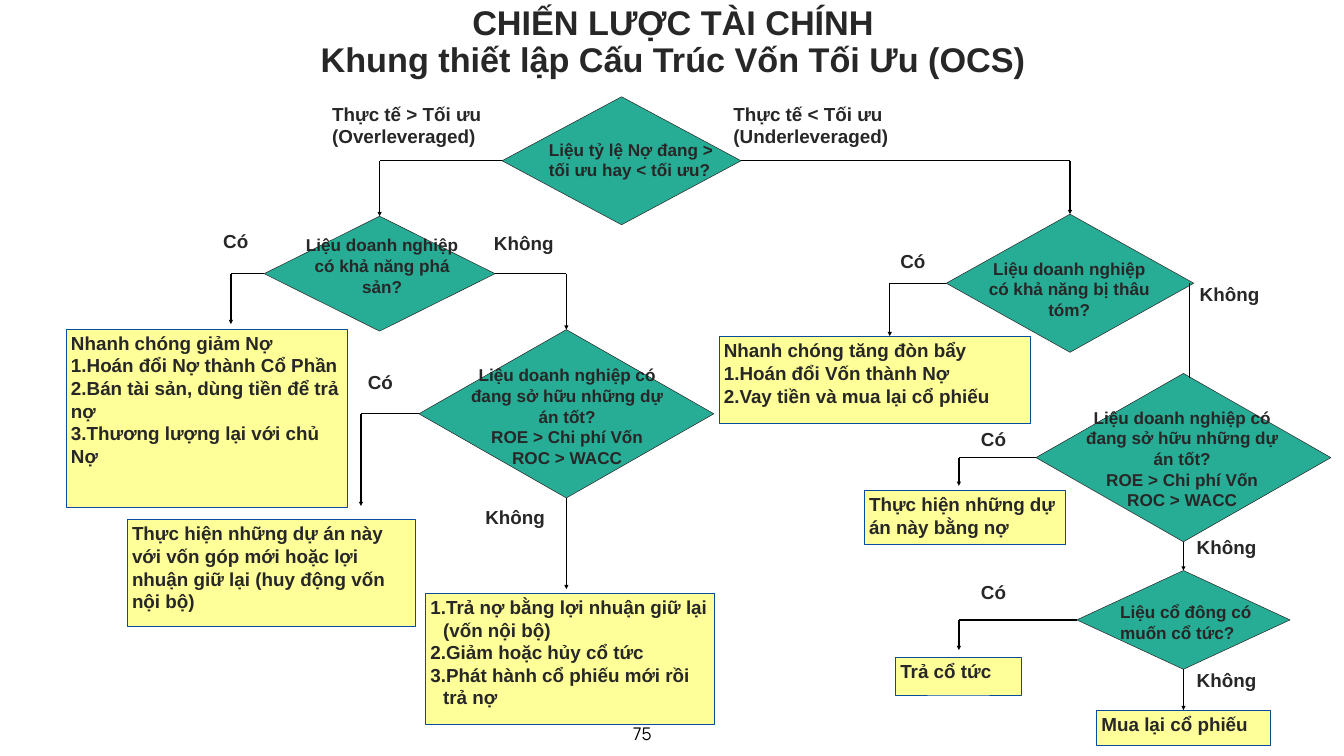
from lxml.etree import SubElement
from pptx import Presentation
from pptx.dml.color import RGBColor
from pptx.enum.shapes import MSO_CONNECTOR as Link, MSO_SHAPE as Preset
from pptx.enum.text import MSO_ANCHOR as Anchor, MSO_AUTO_SIZE as AutoSize, PP_ALIGN as Align
from pptx.oxml.ns import qn
from pptx.util import Inches, Pt

COLUMNS, ROWS = 26.66, 15  # grid of one-inch cells
INK = RGBColor(0x27, 0x27, 0x27)
BLACK = RGBColor(0, 0, 0)
GREEN = RGBColor(0x27, 0xAC, 0x95)
YELLOW = RGBColor(0xFF, 0xFF, 0x99)
BLUE = RGBColor(0x07, 0x4C, 0x9D)

TOP, LEFT, BOTTOM, RIGHT = range(4)  # connection sites
TITLE_FONT = {"name": "Arial", "size": Pt(48.9), "bold": True}
BODY_FONT = {"name": "Arial", "size": Pt(26.9), "bold": True}
QUESTION_FONT = {"name": "Arial", "size": Pt(24.5), "bold": True}
NUMBER_FONT = {"name": "Manrope", "size": Pt(25), "bold": False}

GOOD_PROJECTS = ["Liệu doanh nghiệp có đang sở hữu những dự án tốt?",
                 "ROE > Chi phí Vốn", "ROC > WACC"]

# name: (diamond area, text area, alignment, paragraphs)
QUESTIONS = {
    "debt ratio": ((9.96, 1.92, 4.74, 2.54), (10.79, 2.71, 3.56, 0.92), Align.LEFT,
                   ["Liệu tỷ lệ Nợ đang > tối ưu hay < tối ưu?"]),
    "bankruptcy": ((5.24, 4.29, 4.58, 2.28), (5.92, 4.61, 3.32, 1.34), Align.CENTER,
                   ["Liệu doanh nghiệp có khả năng phá sản?"]),
    "takeover": ((18.77, 4.25, 4.91, 2.74), (19.43, 5.07, 3.56, 1.34), Align.CENTER,
                 ["Liệu doanh nghiệp có khả năng bị thâu tóm?"]),
    "left projects": ((8.31, 6.54, 5.85, 3.34), (9.15, 7.19, 4.2, 2.16), Align.CENTER,
                      GOOD_PROJECTS),
    "right projects": ((20.55, 7.41, 5.85, 3.34), (21.35, 8.03, 4.2, 2.16), Align.CENTER,
                       GOOD_PROJECTS),
    "dividend": ((21.36, 11.32, 4.23, 1.96), (22.12, 11.89, 3.36, 0.92), Align.LEFT,
                 ["Liệu cổ đông có muốn cổ tức?"]),
}

# name: (area, plain paragraphs, numbered paragraphs, hanging indent)
ACTIONS = {
    "cut debt": ((1.31, 6.53, 5.59, 3.53), ["Nhanh chóng giảm Nợ"],
                 ["Hoán đổi Nợ thành Cổ Phần", "Bán tài sản, dùng tiền để trả nợ",
                  "Thương lượng lại với chủ Nợ"], 0),
    "use equity": ((2.52, 10.31, 5.72, 2.12),
                   ["Thực hiện những dự án này với vốn góp mới hoặc lợi nhuận giữ lại "
                    "(huy động vốn nội bộ)"], [], 0),
    "repay debt": ((8.44, 11.77, 5.73, 2.61), [],
                   ["Trả nợ bằng lợi nhuận giữ lại (vốn nội bộ)", "Giảm hoặc hủy cổ tức",
                    "Phát hành cổ phiếu mới rồi trả nợ"], 0.25),
    "add leverage": ((14.26, 6.68, 6.17, 1.72), ["Nhanh chóng tăng đòn bẩy"],
                     ["Hoán đổi Vốn thành Nợ", "Vay tiền và mua lại cổ phiếu"], 0),
    "use debt": ((17.14, 9.73, 4, 1.07), ["Thực hiện những dự án này bằng nợ"], [], 0),
    "pay dividend": ((17.76, 13.04, 2.51, 0.75), ["Trả cổ tức"], [], 0),
    "buy back": ((21.75, 14.09, 3.45, 0.7), ["Mua lại cổ phiếu"], [], 0),
}

BRANCH_LABELS = [(6.49, 1.98, "Thực tế > Tối ưu (Overleveraged)"),
                 (14.45, 1.98, "Thực tế < Tối ưu (Underleveraged)")]
YES_PLACES = [(4.33, 4.51), (7.2, 7.3), (17.76, 4.91), (19.36, 8.43), (19.36, 11.48)]
NO_PLACES = [(9.7, 4.54), (9.53, 9.99), (23.7, 5.56), (23.64, 10.58), (23.64, 13.21)]


def grid(*cells):
    return [Inches(cell) for cell in cells]


def write(frame, lines, font, color=INK, align=Align.LEFT, numbered=(), hang=0):
    """Fill a text frame with plain paragraphs, then numbered ones."""
    frame.word_wrap = True
    frame.vertical_anchor = Anchor.TOP
    for index, line in enumerate([*lines, *numbered]):
        para = frame.paragraphs[0] if index == 0 else frame.add_paragraph()
        para.alignment = align
        if index >= len(lines):
            properties = para._p.get_or_add_pPr()
            properties.set("marL", str(Inches(hang)))
            properties.set("indent", str(-Inches(hang)))
            SubElement(properties, qn("a:buAutoNum"), type="arabicPeriod")
        para.text = line
        for name, value in font.items():
            setattr(para.font, name, value)
        para.font.color.rgb = color


def add_text(page, area, lines, font, **options):
    box = page.shapes.add_textbox(*grid(*area))
    write(box.text_frame, lines, font, **options)


def add_panel(page, preset, area, fill, line, width):
    panel = page.shapes.add_shape(preset, *grid(*area))
    panel.shadow.inherit = False
    panel.fill.solid()
    panel.fill.fore_color.rgb = fill
    panel.line.color.rgb = line
    panel.line.width = Pt(width)
    return panel


def add_question(page, area, text_area, align, lines):
    diamond = add_panel(page, Preset.DIAMOND, area, GREEN, INK, 0.75)
    add_text(page, text_area, lines, QUESTION_FONT, align=align)
    return diamond


def add_action(page, area, lines, numbered, hang):
    box = add_panel(page, Preset.RECTANGLE, area, YELLOW, BLUE, 1)
    write(box.text_frame, lines, BODY_FONT, numbered=numbered, hang=hang)
    return box


def add_line(page, start, end, arrow=False):
    line = page.shapes.add_connector(Link.STRAIGHT, *start, *end)
    line.line.color.rgb = BLACK
    line.line.width = Pt(2)
    if arrow:
        SubElement(line.line._get_or_add_ln(), qn("a:tailEnd"), type="triangle")
    SubElement(line._element.spPr, qn("a:effectLst"))
    return line


def add_branch(page, diamond, side, column=None, row=None, target=None):
    """Go sideways from a diamond, then down to a grid point or a target's top."""
    middle = diamond.top + diamond.height // 2
    edge = diamond.left + (diamond.width if side == RIGHT else 0)
    corner = target.left + target.width // 2 if target else Inches(column)
    end = target.top if target else Inches(row)
    add_line(page, (edge, middle), (corner, middle)).begin_connect(diamond, side)
    drop = add_line(page, (corner, middle), (corner, end), arrow=True)
    if target:
        drop.end_connect(target, TOP)


def add_drop(page, diamond, target=None, row=None):
    center = diamond.left + diamond.width // 2
    end = target.top if target else Inches(row)
    line = add_line(page, (center, diamond.top + diamond.height), (center, end), arrow=True)
    line.begin_connect(diamond, BOTTOM)
    if target:
        line.end_connect(target, TOP)


def add_title(page):
    title = page.shapes.title
    title.left, title.top, title.width, title.height = grid(2.34, 0, 22.02, 2.5)
    frame = title.text_frame
    frame.auto_size = AutoSize.NONE
    frame.margin_left = frame.margin_right = Inches(0.24)
    frame.margin_top = frame.margin_bottom = Inches(0.12)
    write(frame, ["CHIẾN LƯỢC TÀI CHÍNH\vKhung thiết lập Cấu Trúc Vốn Tối Ưu (OCS)"],
          TITLE_FONT, align=Align.CENTER)
    frame.paragraphs[0].line_spacing = 0.9


def main():
    deck = Presentation()
    deck.slide_width, deck.slide_height = grid(COLUMNS, ROWS)
    page = deck.slides.add_slide(deck.slide_layouts[5])
    add_title(page)
    add_text(page, (11.95, 14.29, 1.58, 0.52), ["75"], NUMBER_FONT,
             color=BLACK, align=Align.CENTER)

    ask = {name: add_question(page, *parts) for name, parts in QUESTIONS.items()}
    act = {name: add_action(page, *parts) for name, parts in ACTIONS.items()}

    add_branch(page, ask["debt ratio"], LEFT, target=ask["bankruptcy"])
    add_branch(page, ask["debt ratio"], RIGHT, target=ask["takeover"])
    add_branch(page, ask["bankruptcy"], LEFT, 4.58, 6.43)
    add_branch(page, ask["bankruptcy"], RIGHT, target=ask["left projects"])
    add_branch(page, ask["left projects"], LEFT, 7.16, 10.04)
    add_branch(page, ask["takeover"], LEFT, 17.65, 6.67)
    add_branch(page, ask["right projects"], LEFT, 19.02, 9.64)
    add_branch(page, ask["dividend"], LEFT, 19.02, 12.9)
    add_line(page, grid(23.6, 5.62), grid(23.6, 7.5))
    add_drop(page, ask["left projects"], row=11.69)
    add_drop(page, ask["right projects"], ask["dividend"])
    add_drop(page, ask["dividend"], act["buy back"])

    for column, row, label in BRANCH_LABELS:
        add_text(page, (column, row, 4.49, 1.01), [label], BODY_FONT)
    for places, label, width in ((YES_PLACES, "Có", 1.07), (NO_PLACES, "Không", 2.09)):
        for column, row in places:
            add_text(page, (column, row, width, 0.55), [label], BODY_FONT)

    deck.save("out.pptx")


if __name__ == "__main__":
    main()
